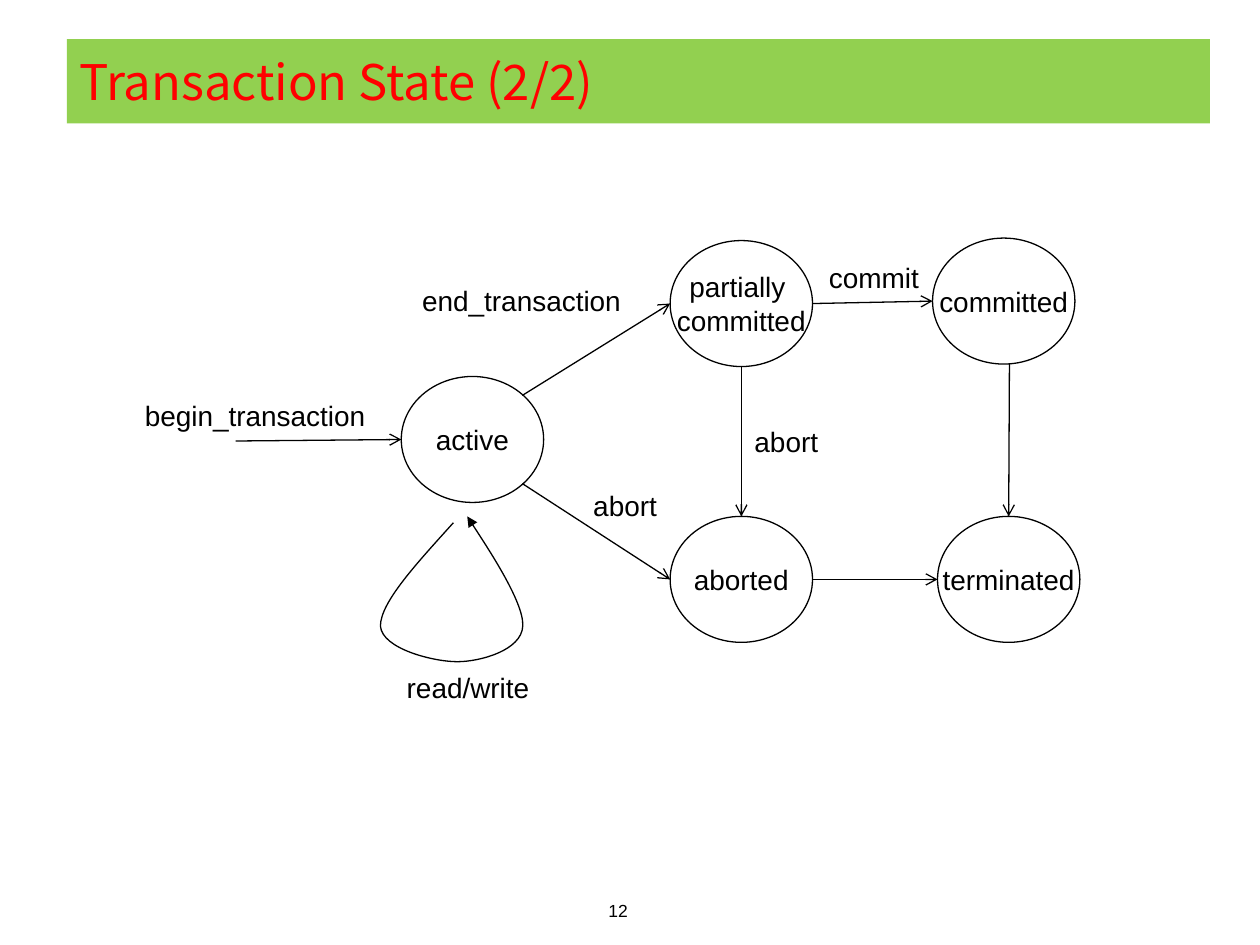
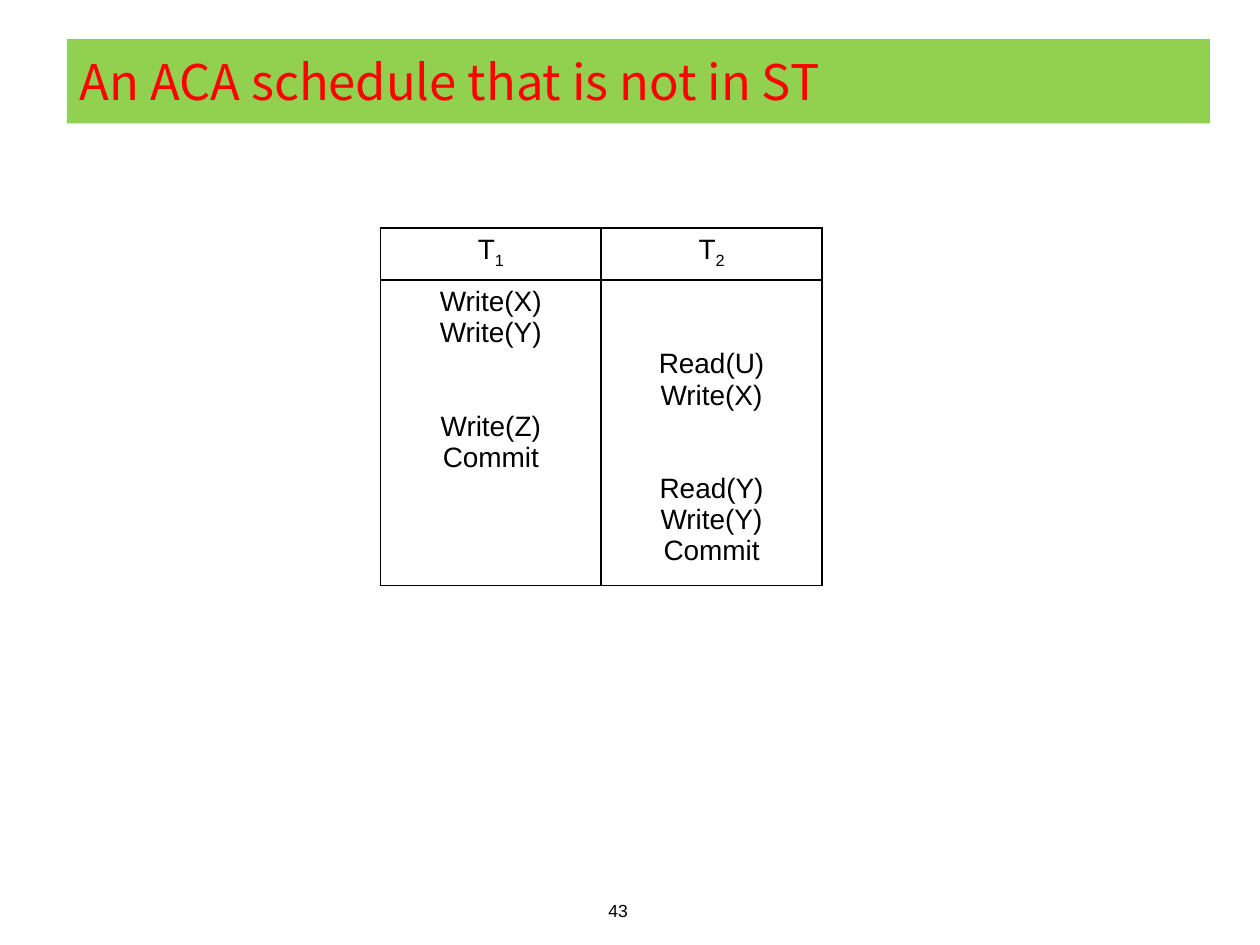
from lxml import etree
from pptx import Presentation
from pptx.dml.color import RGBColor
from pptx.enum.shapes import MSO_CONNECTOR as Link, MSO_SHAPE as Kind
from pptx.enum.text import MSO_ANCHOR as Anchor, MSO_AUTO_SIZE as Fit, PP_ALIGN as Align
from pptx.oxml.ns import qn
from pptx.util import Cm, Pt

# Shared colours, fonts and sizes
BLACK, WHITE, GREEN, RED = "000000", "FFFFFF", "92D050", "FF0000"
SANS, HEAD = "Arial", "Noto Sans CJK KR"
WIDE, HIGH = 2.87, 2.54  # state ellipse, cm
GAP = 35.75  # two text lines, pt
INSET = 0.13  # cell margin, cm


def color(code):
    return RGBColor.from_string(code)


def box(*nums):
    return [Cm(n) for n in nums]


class Deck:
    def __init__(self):
        self.prs = Presentation()
        self.prs.slide_width, self.prs.slide_height = box(25.4, 19.05)
        self.slide = None

    def page(self, title, num):
        """Start a slide with its title band and page number."""
        self.slide = self.prs.slides.add_slide(self.prs.slide_layouts[5])
        band = self.slide.shapes.title
        band.left, band.top, band.width, band.height = box(1.35, 0.79, 23.04, 1.7)
        band.fill.solid()
        band.fill.fore_color.rgb = color(GREEN)
        frame = band.text_frame
        frame.auto_size = Fit.NONE
        frame.vertical_anchor = Anchor.MIDDLE
        self.text(frame, [title], 28, RED, HEAD, Align.LEFT)
        self.label(num, 11.99, 18.01, 0.94, 0.69, 10, Align.CENTER)

    def text(self, frame, lines, size=16, ink=BLACK, face=SANS, align=Align.CENTER):
        """Fill a frame; a line is a text or a pair of text and subscript."""
        for i, line in enumerate(lines):
            par = frame.add_paragraph() if i else frame.paragraphs[0]
            par.alignment = align
            parts = (line,) if isinstance(line, str) else line
            for j, part in enumerate(parts):
                run = par.add_run()
                run.text = part
                font = run.font
                font.size, font.name = Pt(size), face
                font.color.rgb = color(ink)
                if j:
                    run._r.get_or_add_rPr().set("baseline", "-25000")

    def label(self, text, x, y, w, h=0.94, size=16, align=Align.LEFT):
        frame = self.slide.shapes.add_textbox(*box(x, y, w, h)).text_frame
        frame.word_wrap = False
        frame.auto_size = Fit.SHAPE_TO_FIT_TEXT
        self.text(frame, [text], size, align=align)

    def stroke(self, shape, tip=None):
        shape.line.color.rgb = color(BLACK)
        shape.line.width = Pt(0.75)
        if tip:
            line = shape._element.spPr.get_or_add_ln()
            etree.SubElement(line, qn("a:tailEnd"), type=tip)

    def state(self, lines, x, y):
        oval = self.slide.shapes.add_shape(Kind.OVAL, *box(x, y, WIDE, HIGH))
        oval.shadow.inherit = False
        oval.fill.solid()
        oval.fill.fore_color.rgb = color(WHITE)
        self.stroke(oval)
        frame = oval.text_frame
        frame.word_wrap = False
        frame.vertical_anchor = Anchor.MIDDLE
        self.text(frame, lines)

    def arrow(self, start, end):
        line = self.slide.shapes.add_connector(Link.STRAIGHT, *box(*start, *end))
        self.stroke(line, "arrow")
        etree.SubElement(line._element.spPr, qn("a:effectLst"))

    def curve(self, start, knots):
        """Draw an open Bezier curve; every three knots form one segment."""
        pen = self.slide.shapes.build_freeform(*box(*start))
        pen.add_line_segments([box(*knot) for knot in knots], close=False)
        shape = pen.convert_to_shape()
        shape.shadow.inherit = False
        shape.fill.background()
        self.stroke(shape, "triangle")
        trace = next(shape._element.iter(qn("a:path")))
        steps = trace.findall(qn("a:lnTo"))
        for i in range(0, len(steps), 3):
            bend = etree.SubElement(trace, qn("a:cubicBezTo"))
            for step in steps[i:i + 3]:
                bend.append(step[0])
                trace.remove(step)

    def cell(self, cell, lines):
        props = cell._tc.get_or_add_tcPr()
        for side in ("lnL", "lnR", "lnT", "lnB"):
            edge = etree.SubElement(props, qn("a:" + side), w=str(Pt(1)))
            fill = etree.SubElement(edge, qn("a:solidFill"))
            etree.SubElement(fill, qn("a:srgbClr"), val=BLACK)
        cell.fill.solid()
        cell.fill.fore_color.rgb = color(WHITE)
        cell.margin_top = cell.margin_bottom = Cm(INSET)
        self.text(cell.text_frame, lines)

    def table(self, rows, x, y, wide, highs):
        count = len(rows[0])
        area = box(x, y, wide * count, sum(highs))
        grid = self.slide.shapes.add_table(len(rows), count, *area).table
        grid.first_row = grid.horz_banding = False
        for r, row in enumerate(rows):
            grid.rows[r].height = Cm(highs[r])
            for c, lines in enumerate(row):
                self.cell(grid.cell(r, c), lines)
        for col in grid.columns:
            col.width = Cm(wide)
        return grid


def states(deck):
    deck.page("Transaction State (2/2)", "12")

    # States
    spots = {
        "active": (8.09, 7.59),
        "aborted": (13.51, 10.41),
        "partial": (13.51, 4.85),
        "committed": (18.8, 4.8),
        "terminated": (18.9, 10.41),
    }
    for name, spot in spots.items():
        lines = ["partially ", "committed"] if name == "partial" else [name]
        deck.state(lines, *spot)

    # Transitions, between points given as shares of each ellipse's frame
    def at(name, across, down):
        x, y = spots[name]
        return x + across * WIDE, y + down * HIGH

    left, right, top, base = (0, 0.5), (1, 0.5), (0.5, 0), (0.5, 1)
    for start, out, end, into in (
        ("active", (0.85, 0.15), "partial", left),
        ("active", (0.85, 0.85), "aborted", left),
        ("partial", right, "committed", left),
        ("partial", base, "aborted", top),
        ("aborted", right, "terminated", left),
        ("committed", (0.54, 1), "terminated", top),
    ):
        deck.arrow(at(start, *out), at(end, *into))
    deck.arrow((4.75, 8.89), at("active", *left))

    # Read/write loop
    deck.curve((9.14, 10.54), [
        (8.41, 11.35), (7.67, 12.14), (7.67, 12.62),
        (7.7, 13.08), (8.74, 13.34), (9.22, 13.34),
        (9.68, 13.34), (10.52, 13.11), (10.54, 12.62),
        (10.57, 12.14), (9.42, 10.41), (9.42, 10.41),
    ])

    # Transition names
    for text, x, y, w in (
        ("begin_transaction", 2.67, 7.9, 5),
        ("read/write", 7.95, 13.39, 3.02),
        ("abort", 11.71, 9.73, 1.8),
        ("commit", 16.46, 5.13, 2.36),
        ("abort", 14.96, 8.43, 1.8),
        ("end_transaction", 8.26, 5.59, 4.57),
    ):
        deck.label(text, x, y, w)


def schedule(deck):
    deck.page("An ACA schedule that is not in ST", "43")
    grid = deck.table([
        [[("T", "1")], [("T", "2")]],
        [
            ["Write(X)", "Write(Y)", "Write(Z)", "Commit"],
            ["Read(U)", "Write(X)", "Read(Y)", "Write(Y)", "Commit"],
        ],
    ], 7.67, 4.6, 4.45, (1.04, 5.89))

    # Each transaction waits two lines while the other one runs
    first, second = grid.cell(1, 0), grid.cell(1, 1)
    for cell in (first, second):
        cell.text_frame.paragraphs[2].space_before = Pt(GAP)
    second.margin_top = Cm(INSET) + Pt(GAP)


def main():
    deck = Deck()
    states(deck)
    schedule(deck)
    deck.prs.save("out.pptx")


if __name__ == "__main__":
    main()
